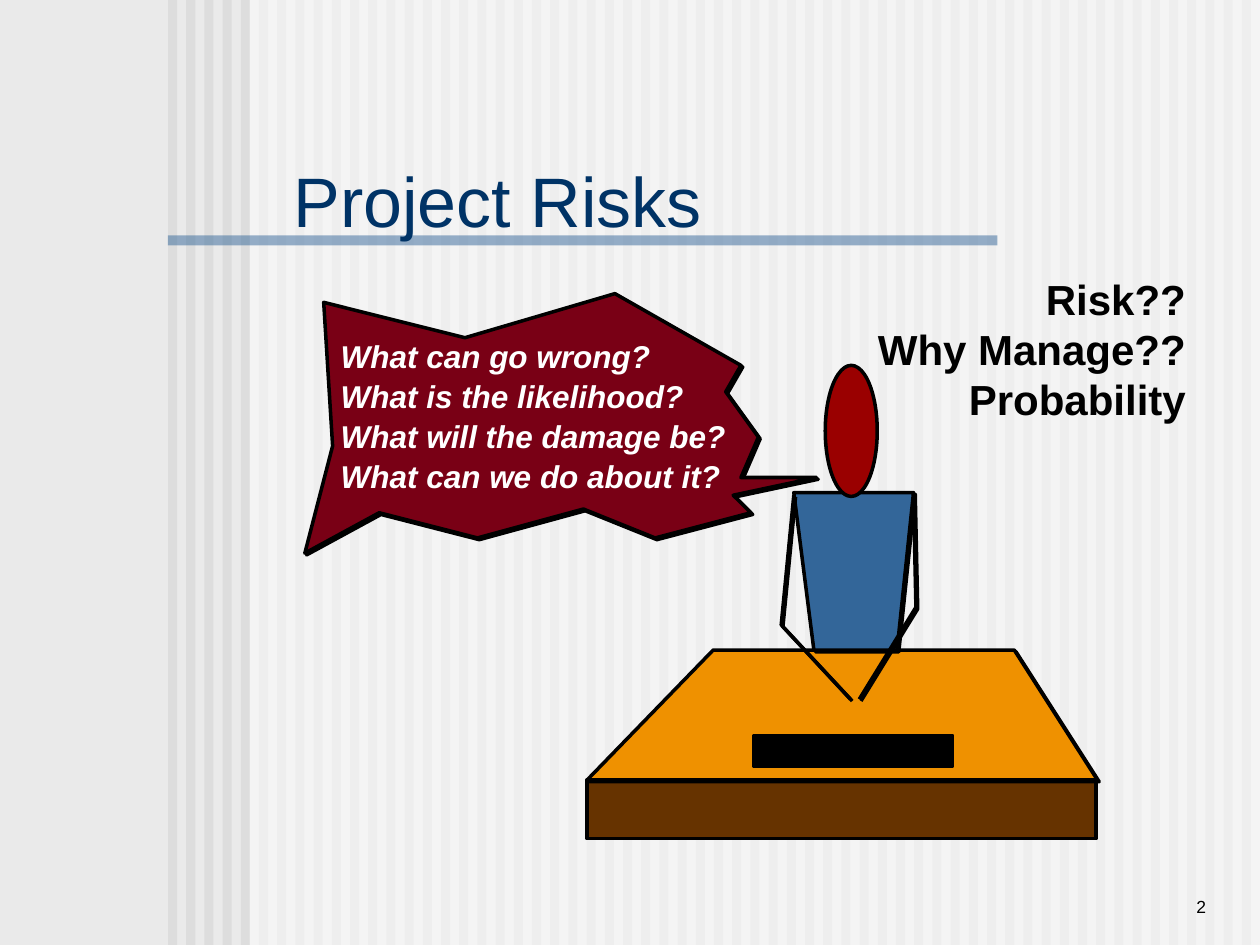
from pptx import Presentation, util as u
from pptx.dml import color
from pptx.enum import shapes as kinds, text as words
from pptx.oxml import ns
from lxml import etree

BLACK, WHITE, BLUE = "000000", "FFFFFF", "336699"
LINES = ["What can go wrong?", "What is the likelihood?",
         "What will the damage be?", "What can we do about it?"]
BUBBLE = [(466.6, 272.9), (419, 283), (429.1, 293), (374.4, 307.4),
          (333.4, 290.9), (272.9, 307.4), (216.7, 293), (174.2, 316.1),
          (190.1, 254.9), (185, 172.8), (265.7, 193), (351.4, 167.8),
          (423.4, 208.8), (414.7, 223.9), (433.4, 249.8), (423.4, 272.9),
          (464.4, 272.9)]
DESK = [(335.5, 445.7), (407.5, 371.5), (579.6, 371.5), (627.1, 445.7)]
BODY = [(465.1, 371.5), (453.6, 281.5), (522, 281.5), (512.6, 371.5)]
ARMS = [[(453.6, 283), (446.4, 357.1), (486, 399.6)],
        [(522, 281.5), (523.4, 347), (491, 399.6)]]


def rgb(code):
    """Return the colour for a hex string."""
    return color.RGBColor.from_string(code)


def paint(shape, fill=None, edge=None, alpha=None):
    """Set the fill, outline and optional opacity of a shape."""
    shape.shadow.inherit = False
    if fill:
        shape.fill.solid()
        shape.fill.fore_color.rgb = rgb(fill)
    else:
        shape.fill.background()
    if edge:
        shape.line.color.rgb = rgb(edge)
        shape.line.width = u.Pt(2)
    else:
        shape.line.fill.background()
    if alpha:
        tone = shape.fill._xPr.find(".//" + ns.qn("a:srgbClr"))
        etree.SubElement(tone, ns.qn("a:alpha"), val=str(alpha * 1000))


def block(slide, box, fill, edge=None, alpha=None, kind="RECTANGLE"):
    """Add a preset shape."""
    shape = slide.shapes.add_shape(kinds.MSO_SHAPE[kind], *map(u.Pt, box))
    paint(shape, fill, edge, alpha)


def sketch(slide, dots, fill=None):
    """Draw an outline over a second one set one point down and right."""
    for shift, tint in ((1, None), (0, fill)):
        start, *rest = [(u.Pt(x + shift), u.Pt(y + shift)) for x, y in dots]
        pen = slide.shapes.build_freeform(*start)
        pen.add_line_segments(rest, close=bool(fill))
        paint(pen.convert_to_shape(), tint, BLACK)


def style(frame, size, tint, bold=False, slant=False, align="LEFT"):
    """Format every paragraph of a text frame."""
    for para in frame.paragraphs:
        para.alignment = words.PP_ALIGN[align]
        for run in para.runs:
            font = run.font
            font.name, font.size = "Arial", u.Pt(size)
            font.bold, font.italic = bold, slant
            font.color.rgb = rgb(tint)


def label(slide, box, copy, size, tint, anchor="TOP", **look):
    """Add a text box."""
    frame = slide.shapes.add_textbox(*map(u.Pt, box)).text_frame
    frame.text = copy
    frame.word_wrap = True
    frame.vertical_anchor = words.MSO_ANCHOR[anchor]
    style(frame, size, tint, **look)


def backdrop(slide):
    """Add the striped ground and the rule below the title."""
    ground = slide.background.fill
    ground.solid()
    ground.fore_color.rgb = rgb("EAEAEA")
    for i in range(60):
        block(slide, (96 + 10.4 * i, 0, 5.2, 540), "DDDDDD")
    block(slide, (142.6, 0, 577.4, 540), WHITE, alpha=50)
    block(slide, (96, 134.6, 474, 5.6), BLUE, alpha=50)


def heading(slide, copy):
    """Place and format the title above the backdrop."""
    title = slide.shapes.title
    title.left, title.top = u.Pt(160.6), u.Pt(102.2)
    title.width, title.height = u.Pt(421.2), u.Pt(23.8)
    frame = title.text_frame
    frame.text = copy
    frame.auto_size = words.MSO_AUTO_SIZE.NONE
    frame.vertical_anchor = words.MSO_ANCHOR.MIDDLE
    style(frame, 40, "003366")
    slide.shapes._spTree.append(title._element)


def scene(slide):
    """Draw the speaker at the desk and the speech bubble."""
    sketch(slide, BUBBLE, "790015")
    block(slide, (335.5, 445.7, 290.7, 33.6), "663300", BLACK)
    sketch(slide, DESK, "EF9100")
    sketch(slide, BODY, BLUE)
    for arm in ARMS:
        sketch(slide, arm)
    block(slide, (471.6, 208.8, 29.7, 74.9), "9A0000", BLACK, kind="OVAL")
    for i, line in enumerate(LINES):
        label(slide, (187.6, 189.1 + 22.8 * i, 246, 28.8), line, 18, WHITE,
              bold=True, slant=True)
    block(slide, (430.6, 420.5, 113.8, 17.3), BLACK, BLACK)


def main():
    """Build the slide and save it."""
    deck = Presentation()
    deck.slide_width, deck.slide_height = u.Pt(720), u.Pt(540)
    slide = deck.slides.add_slide(deck.slide_layouts[5])
    backdrop(slide)
    label(slide, (594, 491.8, 102.2, 36), "2", 10, BLACK,
          anchor="BOTTOM", align="RIGHT")
    heading(slide, "Project Risks")
    scene(slide)
    label(slide, (479.5, 152.6, 205.2, 93.6),
          "Risk??\nWhy Manage??\nProbability", 24, BLACK,
          bold=True, align="RIGHT")
    deck.save("out.pptx")


main()
